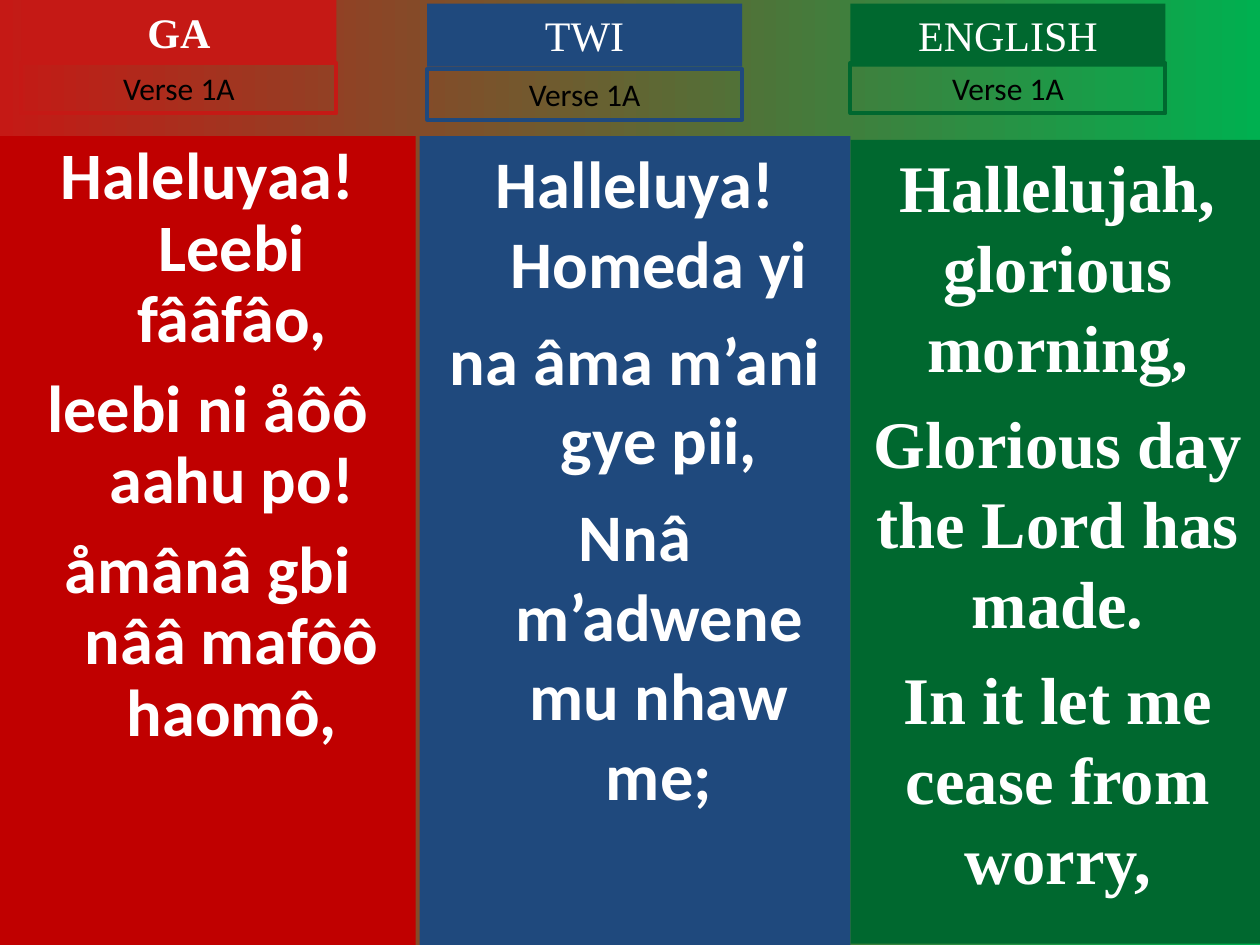
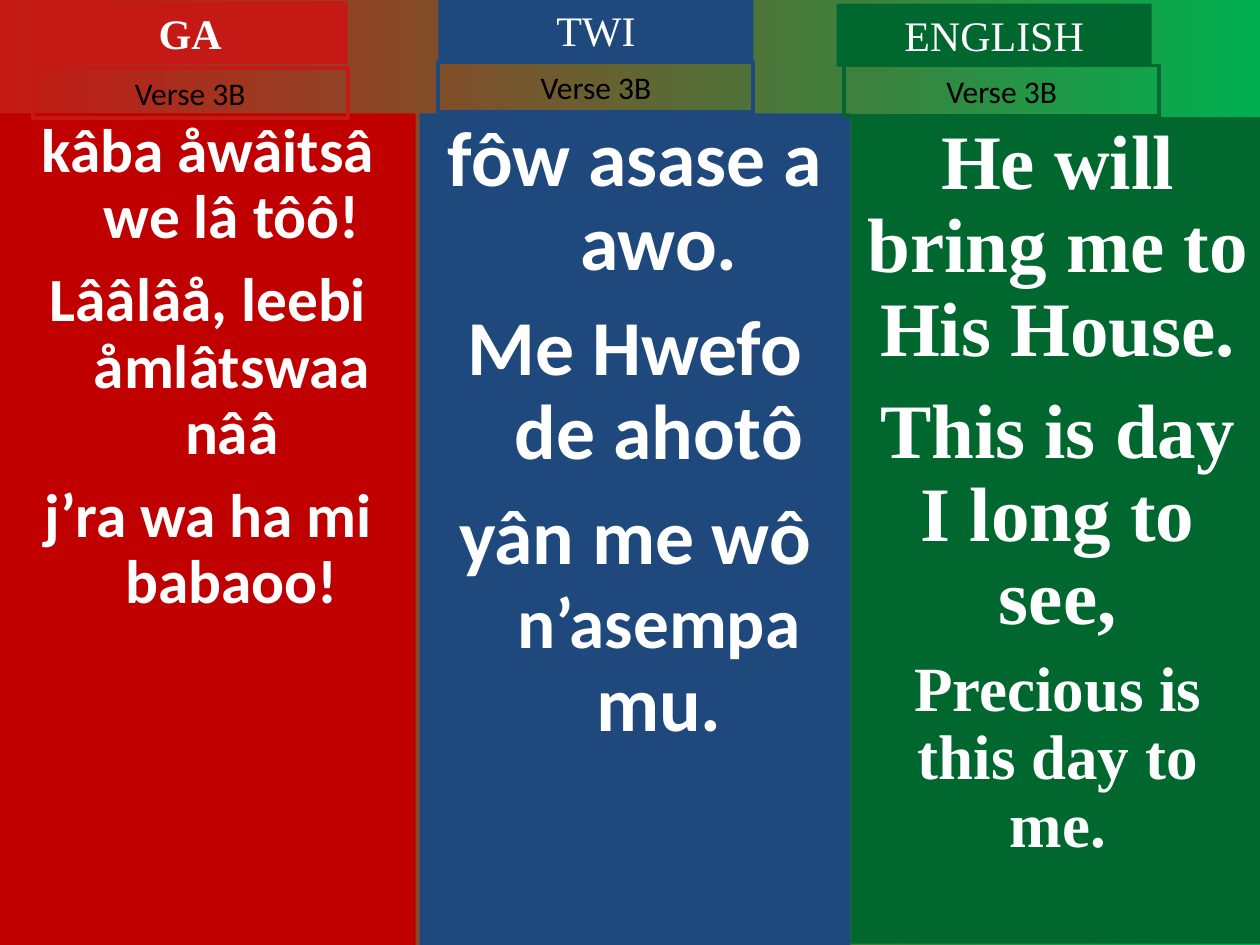
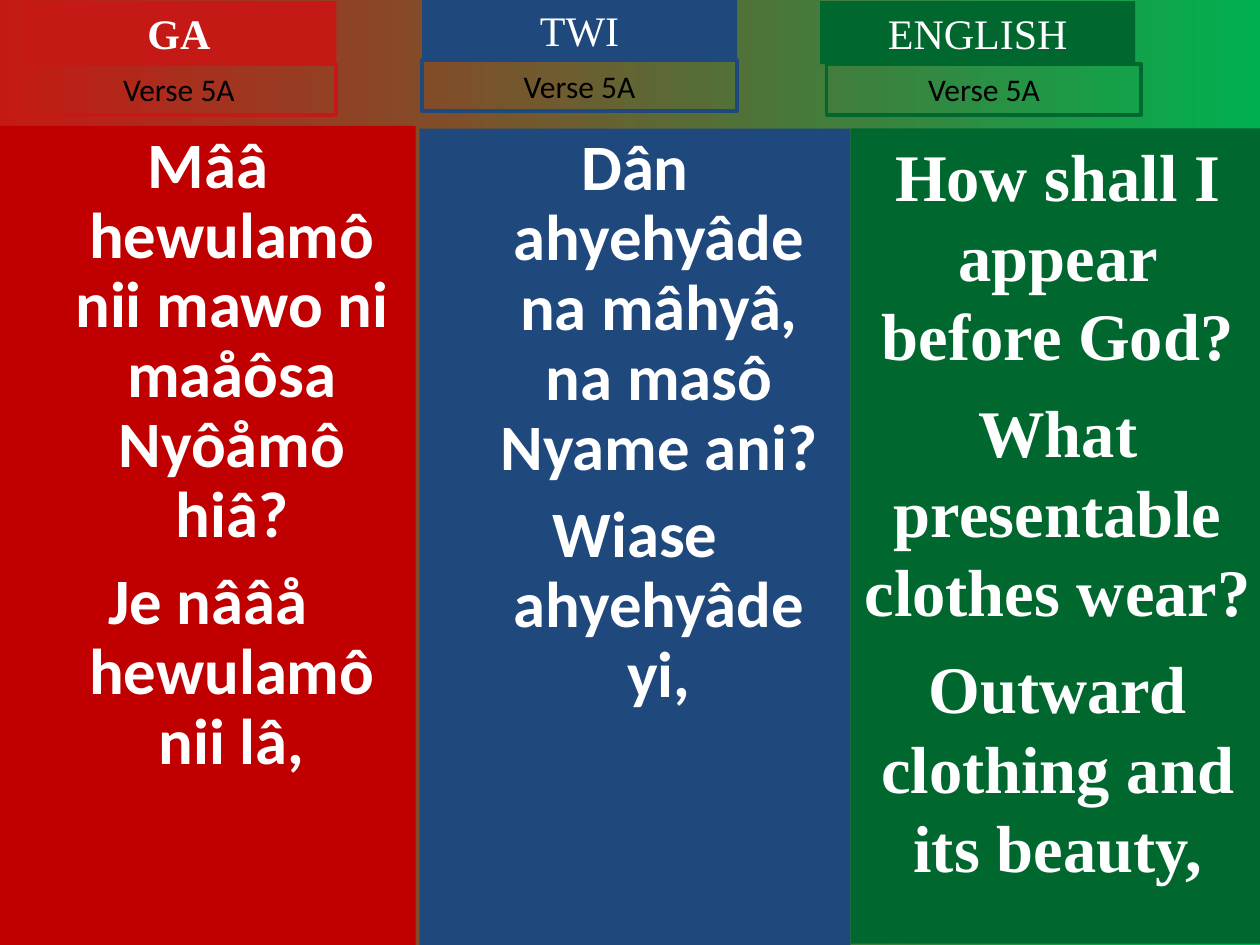
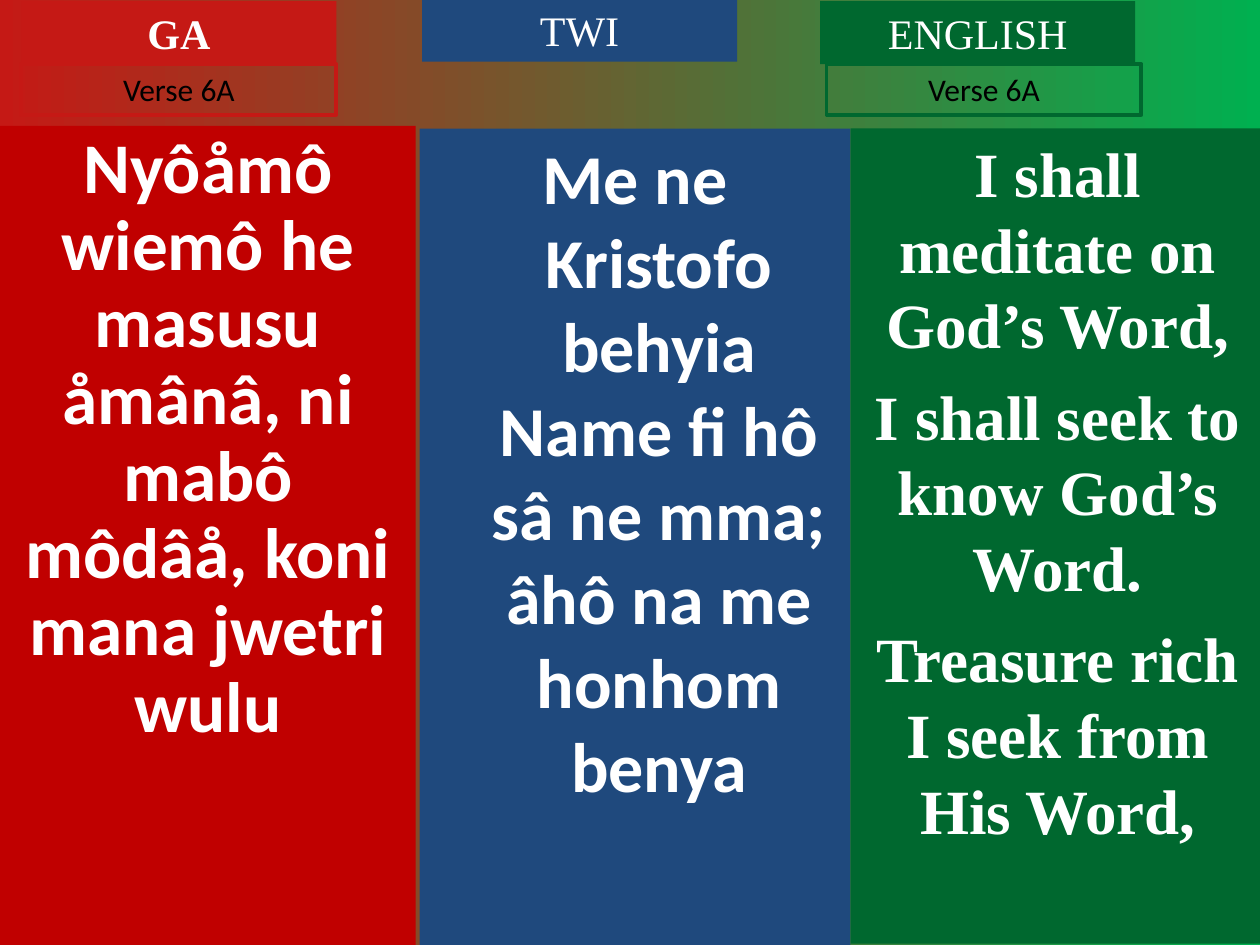
from typing import NamedTuple

import pptx
import pptx.dml.color
import pptx.enum.shapes
import pptx.enum.text
import pptx.util

Inches = pptx.util.Inches
Pt = pptx.util.Pt

COLORS = {
    "red": "C00000",
    "scarlet": "C51915",
    "blue": "1F497D",
    "green": "00682F",
    "lime": "00B050",
    "white": "FFFFFF",
    "black": "000000",
}
SANS, SERIF = "Calibri", "Times New Roman"
TAG_SIZE = (2.5, 0.5)
VERSE_SIZE = (2.5, 0.4)
HANG = 0.38


class Lang(NamedTuple):
    name: str
    panel: str
    accent: str
    font: str
    left: float
    width: float
    base: float
    bold: bool = False


class Run(NamedTuple):
    text: str
    size: float
    font: str
    color: str
    bold: bool = False


class Column(NamedTuple):
    """One language on one slide; a line is a list of (text, size) parts."""
    top: float
    tag: tuple[float, float]
    verse: tuple[float, float] | None
    lines: list[list[tuple[str, float]]]
    lead: float = 1.0
    gap: float = 0.25
    hang: float = 0


class Page(NamedTuple):
    verse: str
    columns: list[Column]


GA = Lang("GA", "red", "scarlet", SANS, 0, 3.3, 7.5, True)
TWI = Lang("TWI", "blue", "blue", SANS, 3.33, 3.42, 7.5)
ENGLISH = Lang("ENGLISH", "green", "green", SERIF, 6.75, 3.29, 7.49)
LANGS = (GA, TWI, ENGLISH)


def sized(size: float, *texts: str) -> list[list[tuple[str, float]]]:
    """Give every line a single part of the same size."""
    return [[(text, size)] for text in texts]


PAGES = [
    Page("Verse 1A", [
        Column(1.08, (0.17, 0), (0.17, 0.5),
               sized(37.9, "Haleluyaa! Leebi fââfâo,", "leebi ni åôô aahu po!",
                     "åmânâ gbi nââ mafôô haomô,"),
               lead=0.9, gap=0.27, hang=HANG),
        Column(1.08, (3.39, 0.03), (3.39, 0.55),
               sized(38, "Halleluya! Homeda yi", "na âma m’ani gye pii,",
                     "Nnâ m’adwene mu nhaw me;"), hang=HANG),
        Column(1.11, (6.75, 0.03), (6.75, 0.5),
               sized(38, "Hallelujah, glorious morning,",
                     "Glorious day the Lord has made.",
                     "In it let me cease from worry,")),
    ]),
    Page("Verse 3B", [
        Column(0.9, (0.26, 0.01), (0.26, 0.54),
               sized(35.1, "kâba åwâitsâ we lâ tôô!",
                     "Lââlâå, leebi åmlâtswaa nââ", "j’ra wa ha mi babaoo!"),
               lead=0.9, gap=0.27, hang=HANG),
        Column(0.9, (3.48, -0.01), (3.48, 0.49),
               sized(44.4, "fôw asase a awo.", "Me Hwefo de ahotô")
               + [[("yân me wô ", 44.4), ("n’asempa", 40.7), (" mu.", 44.4)]],
               lead=0.9, gap=0.27, hang=HANG),
        Column(0.93, (6.64, 0.03), (6.7, 0.52),
               sized(44, "He will bring me to His House.",
                     "This is day I long to see,")
               + sized(36, "Precious is this day to me."), lead=0.9),
    ]),
    Page("Verse 5A", [
        Column(1, (0.17, 0.01), (0.17, 0.51),
               sized(37, "Mââ hewulamô nii mawo ni maåôsa Nyôåmô hiâ?",
                     "Je nââå hewulamô nii lâ,"),
               lead=0.9, gap=0.27, hang=HANG),
        Column(1.02, (3.35, -0.01), (3.35, 0.48),
               sized(37, "Dân ahyehyâde na mâhyâ, na masô Nyame ani?",
                     "Wiase ahyehyâde yi,"),
               lead=0.9, gap=0.27, hang=HANG),
        Column(1.02, (6.51, 0.01), (6.56, 0.51),
               sized(38, "How shall I appear before God?",
                     "What presentable clothes wear?",
                     "Outward clothing and its beauty,")),
    ]),
    Page("Verse 6A", [
        Column(1, (0.17, 0.01), (0.17, 0.51),
               sized(40.7, "Nyôåmô wiemô he masusu åmânâ, ni mabô môdâå, "
                           "koni mana jwetri wulu"), lead=0.9),
        Column(1.02, (3.35, -0.01), None,
               sized(40, "Me ne Kristofo behyia Name fi hô sâ ne mma; "
                         "âhô na me honhom benya"), hang=HANG),
        Column(1.02, (6.51, 0.01), (6.56, 0.51),
               sized(36, "I shall meditate on God’s Word,",
                     "I shall seek to know God’s Word.",
                     "Treasure rich I seek from His Word,")),
    ]),
]


def rgb(key: str) -> pptx.dml.color.RGBColor:
    return pptx.dml.color.RGBColor.from_string(COLORS[key])


def add_box(slide, spot: tuple[float, float], size: tuple[float, float],
            fill: str = "", line: str = "", grow: bool = False):
    """Draw a rectangle and return its empty text frame."""
    box = slide.shapes.add_shape(
        pptx.enum.shapes.MSO_SHAPE.RECTANGLE,
        *(Inches(value) for value in spot + size))
    box.shadow.inherit = False
    if fill:
        box.fill.solid()
        box.fill.fore_color.rgb = rgb(fill)
    else:
        box.fill.background()
    if line:
        box.line.color.rgb = rgb(line)
        box.line.width = Pt(2.25)
    else:
        box.line.fill.background()
    frame = box.text_frame
    frame.word_wrap = True
    frame.vertical_anchor = pptx.enum.text.MSO_ANCHOR.TOP
    if grow:
        frame.auto_size = pptx.enum.text.MSO_AUTO_SIZE.SHAPE_TO_FIT_TEXT
    return frame


def add_runs(para, runs: list[Run]) -> None:
    para.alignment = pptx.enum.text.PP_ALIGN.CENTER
    for item in runs:
        run = para.add_run()
        run.text = item.text
        run.font.size = Pt(item.size)
        run.font.name = item.font
        run.font.bold = item.bold
        run.font.color.rgb = rgb(item.color)


def add_panel(slide, lang: Lang, col: Column) -> None:
    frame = add_box(slide, (lang.left, col.top),
                    (lang.width, lang.base - col.top), fill=lang.panel)
    for index, line in enumerate(col.lines):
        para = frame.paragraphs[0] if index == 0 else frame.add_paragraph()
        para.line_spacing = col.lead
        if index:
            para.space_before = Pt(round(line[0][1] * col.gap, 1))
        if col.hang:
            props = para._p.get_or_add_pPr()
            props.set("marL", str(Inches(col.hang)))
            props.set("indent", str(-Inches(col.hang)))
        add_runs(para, [Run(text, size, lang.font, "white", True)
                        for text, size in line])


def add_column(slide, lang: Lang, col: Column, verse: str) -> None:
    add_panel(slide, lang, col)
    tag = add_box(slide, col.tag, TAG_SIZE, fill=lang.accent, grow=True)
    add_runs(tag.paragraphs[0],
             [Run(lang.name, 24, SERIF, "white", lang.bold)])
    if col.verse:
        label = add_box(slide, col.verse, VERSE_SIZE, line=lang.accent,
                        grow=True)
        add_runs(label.paragraphs[0], [Run(verse, 18, SANS, "black")])


def set_back(master) -> None:
    """Give all slides the red to green gradient."""
    fill = master.background.fill
    fill.gradient()
    fill.gradient_angle = 0
    for stop, key, place in zip(fill.gradient_stops, ("scarlet", "lime"),
                                (0, 1)):
        stop.color.rgb = rgb(key)
        stop.position = place


def main() -> None:
    deck = pptx.Presentation()
    deck.slide_width, deck.slide_height = Inches(10), Inches(7.5)
    set_back(deck.slide_master)
    blank = deck.slide_layouts.get_by_name("Blank")
    for page in PAGES:
        slide = deck.slides.add_slide(blank)
        for lang, col in zip(LANGS, page.columns):
            add_column(slide, lang, col, page.verse)
    deck.save("out.pptx")


if __name__ == "__main__":
    main()
